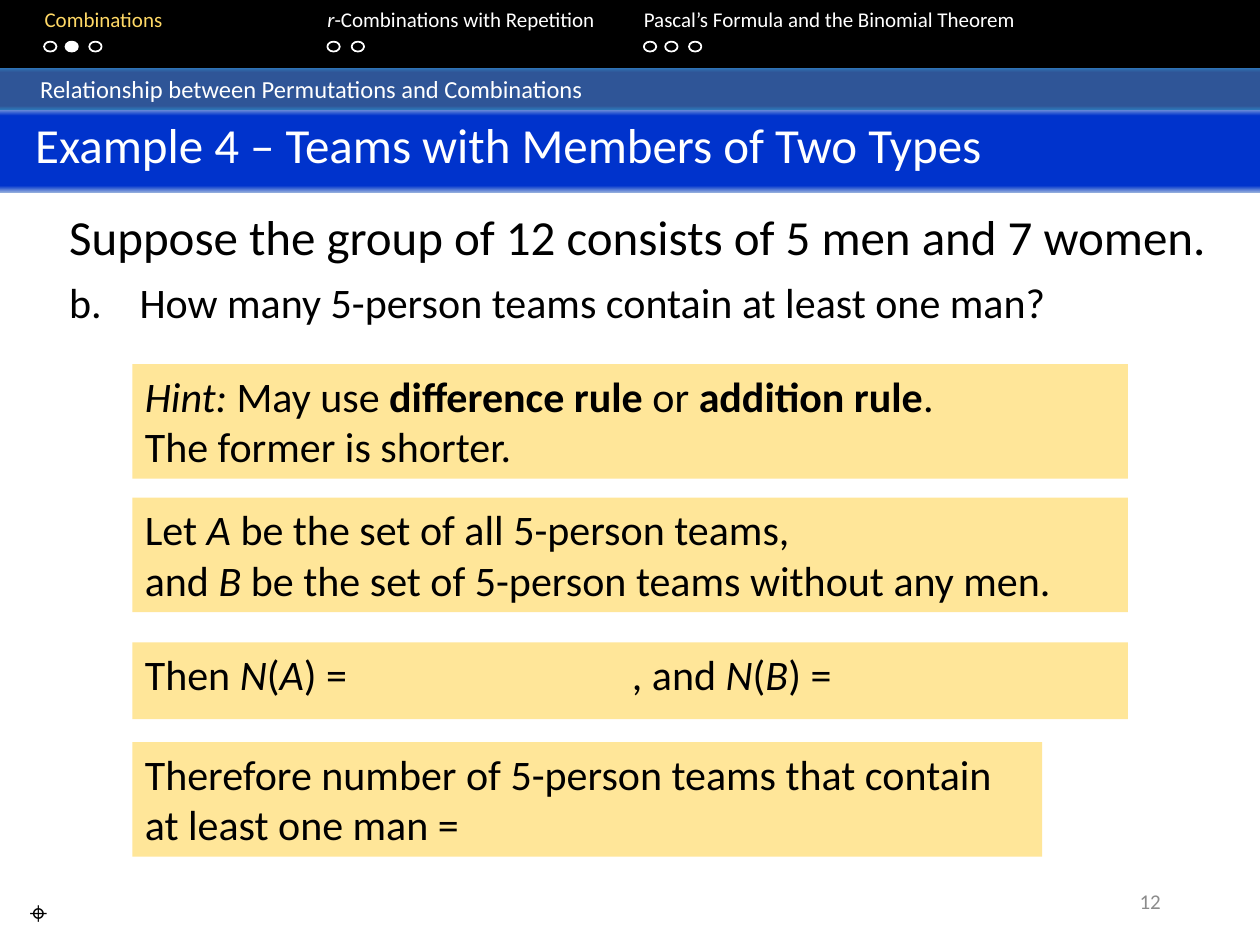
from lxml import etree
from pptx import Presentation
from pptx.dml.color import RGBColor
from pptx.enum.shapes import MSO_SHAPE
from pptx.enum.text import MSO_ANCHOR, MSO_AUTO_SIZE, PP_ALIGN
from pptx.oxml.ns import qn
from pptx.util import Cm, Pt

RECTANGLE, OVAL = MSO_SHAPE.RECTANGLE, MSO_SHAPE.OVAL
TOP, MIDDLE = MSO_ANCHOR.TOP, MSO_ANCHOR.MIDDLE
LEFT, CENTER, RIGHT = PP_ALIGN.LEFT, PP_ALIGN.CENTER, PP_ALIGN.RIGHT
NO_FIT = MSO_AUTO_SIZE.NONE
BLACK, WHITE, YELLOW, GOLD = "000000", "FFFFFF", "FFE699", "FFD966"
color = RGBColor.from_string


def write(para, runs, size, hex_color=BLACK, align=LEFT):
    """Fill a paragraph with (text, style) runs; style is "", "i" or "b"."""
    para.alignment = align
    para.font.name, para.font.size = "Calibri", Pt(size)
    para.font.color.rgb = color(hex_color)
    for text, style in runs:
        span = para.add_run()
        span.text = text
        if style == "i":
            span.font.italic = True
        elif style == "b":
            span.font.bold = True


def set_tabs(para, stops):
    properties = para._p.get_or_add_pPr()
    tab_list = etree.Element(qn("a:tabLst"))
    for stop in stops:
        etree.SubElement(tab_list, qn("a:tab"), pos=str(Cm(stop)), algn="l")
    # tab stops come before the default run properties
    defaults = properties.find(qn("a:defRPr"))
    if defaults is None:
        properties.append(tab_list)
    else:
        defaults.addprevious(tab_list)


deck = Presentation()
deck.slide_width, deck.slide_height = Cm(25.4), Cm(19.05)
slide = deck.slides.add_slide(deck.slide_layouts[1])
shapes = slide.shapes
title, body = shapes.title, slide.placeholders[1]

# Navigation strip
strip = shapes.add_shape(RECTANGLE, Cm(0), Cm(-0.05), Cm(25.4), Cm(1.42))
strip.shadow.inherit = False
strip.fill.solid()
strip.fill.fore_color.rgb = color(BLACK)
strip.line.fill.background()

navigation = shapes.add_textbox(Cm(0), Cm(0), Cm(25.4), Cm(1.27))
navigation.text_frame.word_wrap = True
para = navigation.text_frame.paragraphs[0]
write(para, [("\tCombinations", ""), ("\tr", "i"),
             ("-Combinations with Repetition\t"
              "Pascal’s Formula and the Binomial Theorem", "")], 12, WHITE)
para.runs[0].font.color.rgb = color(GOLD)
set_tabs(para, [0.65, 6.35, 12.73])

# Progress dots, the current one filled
CURRENT = 0.52 * 2.54
for left in [0.35 * 2.54, CURRENT, 1.8, 6.6, 7.09, 12.98, 13.41, 13.89]:
    dot = shapes.add_shape(OVAL, Cm(left), Cm(0.84), Cm(0.25), Cm(0.2))
    dot.shadow.inherit = False
    dot.line.color.rgb = color(WHITE)
    dot.line.width = Pt(1)
    if left == CURRENT:
        dot.fill.solid()
        dot.fill.fore_color.rgb = color(WHITE)
    else:
        dot.fill.background()

# Section bar and title bar, both with a vertical gradient
section = shapes.add_shape(RECTANGLE, Cm(0), Cm(1.37), Cm(25.4), Cm(0.84))
section.shadow.inherit = False
title.left, title.top, title.width, title.height = Cm(0), Cm(2.18), Cm(25.4), Cm(1.7)
bars = [
    (section, "Relationship between Permutations and Combinations", 14, 0.81,
     [(0, "2E75B6"), (11, "2F5597"), (91, "2F5597"), (100, "2E75B6")]),
    (title, "Example 4 – Teams with Members of Two Types", 28, 0.71,
     [(0, "8FAADC"), (9, "0033CC"), (92, "0033CC"), (100, "8FAADC")]),
]
for bar, text, size, margin, stops in bars:
    bar.line.fill.background()
    bar.fill.gradient()
    bar.fill.gradient_angle = 270
    stop_list = bar._element.spPr.find(".//" + qn("a:gsLst"))
    for stop in list(stop_list):
        stop_list.remove(stop)
    for percent, hex_color in stops:
        stop = etree.SubElement(stop_list, qn("a:gs"), pos=str(percent * 1000))
        etree.SubElement(stop, qn("a:srgbClr"), val=hex_color)
    frame = bar.text_frame
    frame.auto_size = NO_FIT
    frame.vertical_anchor = TOP
    frame.margin_left = Cm(margin)
    write(frame.paragraphs[0], [(text, "")], size, WHITE)

# Problem statement
body.left, body.top, body.width, body.height = Cm(1.14), Cm(4.04), Cm(23.67), Cm(3.5)
frame = body.text_frame
frame.auto_size = NO_FIT
problem, question = frame.paragraphs[0], frame.add_paragraph()
write(problem, [("Suppose the group of 12 consists of 5 men and 7 women.", "")], 28)
write(question, [("How many 5-person teams contain at least one man?", "")], 24)
bullets = [
    (problem, 0, etree.Element(qn("a:buNone"))),
    (question, 1.42, etree.Element(qn("a:buAutoNum"), type="alphaLcPeriod", startAt="2")),
]
for para, indent, bullet in bullets:
    para.space_before = Pt(6)
    properties = para._p.get_or_add_pPr()
    properties.set("marL", str(Cm(indent)))
    properties.set("indent", str(-Cm(indent)))
    properties.find(qn("a:defRPr")).addprevious(bullet)

# Solution steps: top, width, height, lines of runs
steps = [
    (7.34, 20.07, 2.31, [
        [("Hint: ", "i"), ("May use ", ""), ("difference rule ", "b"), ("or ", ""),
         ("addition rule", "b"), (".", "")],
        [("The former is shorter.", "")]]),
    (10.03, 20.07, 2.31, [
        [("Let ", ""), ("A", "i"), (" be the set of all 5-person teams,", "")],
        [("and ", ""), ("B", "i"),
         (" be the set of 5-person teams without any men.", "")]]),
    (12.95, 20.07, 1.55, [
        [("Then ", ""), ("N", "i"), ("(", ""), ("A", "i"), (") =\t, and ", ""),
         ("N", "i"), ("(", ""), ("B", "i"), (") =", "")]]),
    (14.96, 18.34, 2.31, [
        [("Therefore number of 5-person teams that contain at least one man =", "")]]),
]
for top, width, height, lines in steps:
    box = shapes.add_textbox(Cm(2.67), Cm(top), Cm(width), Cm(height))
    box.fill.solid()
    box.fill.fore_color.rgb = color(YELLOW)
    frame = box.text_frame
    frame.word_wrap = True
    for number, runs in enumerate(lines):
        para = frame.add_paragraph() if number else frame.paragraphs[0]
        write(para, runs, 24)
        if any("\t" in text for text, style in runs):
            set_tabs(para, [9.82])

# Footer: end mark and slide number
footers = [
    ("⌖", 0, 17.88, 1.55, 18, BLACK, CENTER, TOP),
    ("12", 17.93, 17.65, 5.72, 12, "8C8C8C", RIGHT, MIDDLE),
]
for text, left, top, width, size, hex_color, align, anchor in footers:
    box = shapes.add_textbox(Cm(left), Cm(top), Cm(width), Cm(1.02))
    box.text_frame.word_wrap = True
    box.text_frame.vertical_anchor = anchor
    write(box.text_frame.paragraphs[0], [(text, "")], size, hex_color, align)

deck.save("out.pptx")
